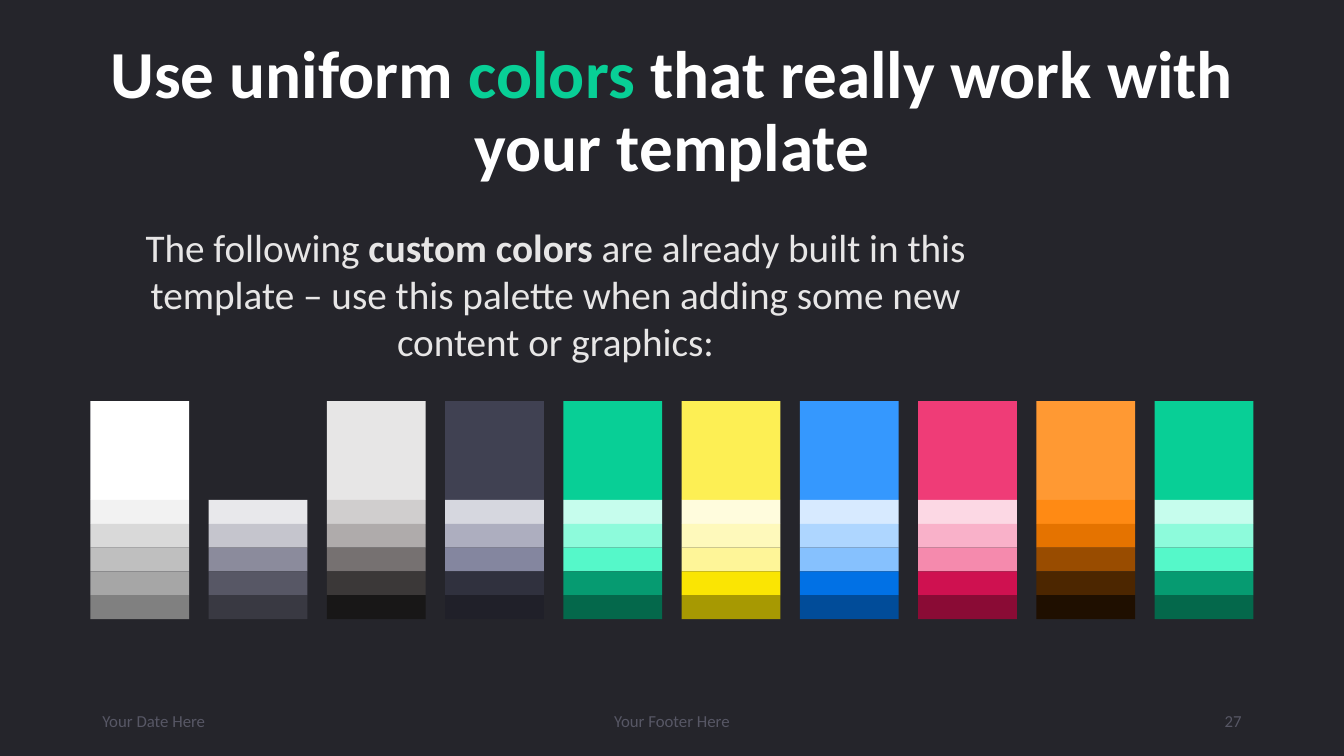
from pptx import Presentation
from pptx import util as u
from pptx.dml.color import RGBColor
from pptx.enum import shapes, text

Cm, Pt = u.Cm, u.Pt
Al = text.PP_ALIGN
Mid = text.MSO_ANCHOR.MIDDLE


def paint(part, hue):
    part.rgb = RGBColor.from_string(hue)


def write(box, runs, size, hue, side, bold=None):
    frame = box.text_frame
    frame.word_wrap = True
    para = frame.paragraphs[0]
    para.alignment = side
    para.font.name = "Calibri"
    para.font.size = Pt(size)
    para.font.bold = bold
    paint(para.font.color, hue)
    for words in runs:
        para.add_run().text = words
    return para


deck = Presentation()
deck.slide_width = Cm(33.87)
deck.slide_height = Cm(19.05)
slide = deck.slides.add_slide(deck.slide_layouts[5])
slide.background.fill.solid()
paint(slide.background.fill.fore_color, "25252B")

title = slide.shapes.title
title.left, title.top = Cm(2.33), Cm(1.02)
title.width, title.height = Cm(29.21), Cm(3.68)
head = write(title, ["Use uniform ", "colors", " that really work with your template"],
             48, "FFFFFF", Al.CENTER, True)
head.line_spacing = 0.9
paint(head.runs[1].font.color, "08CF96")
title.text_frame.vertical_anchor = Mid
title.text_frame.auto_size = text.MSO_AUTO_SIZE.NONE

intro = slide.shapes.add_textbox(Cm(2.33), Cm(5.51), Cm(23.34), Cm(3.84))
lead = write(intro, ["The following ", "custom colors ",
                     "are already built in this template – use this palette "
                     "when adding some new content or graphics:"],
             28, "E7E6E6", Al.CENTER)
lead.runs[1].font.bold = True
intro.text_frame.auto_size = text.MSO_AUTO_SIZE.SHAPE_TO_FIT_TEXT

green = "08CF96 C6FDED 8DFBDB 55F8C9 069B71 04684B"
hues = [
    "FFFFFF F2F2F2 D9D9D9 BFBFBF A6A6A6 808080",
    "25252B E8E8EB C5C5CD 8B8B9C 575765 393942",
    "E7E6E6 D0CECE AFABAB 767171 3B3838 181717",
    "404152 D6D7DF ADAEBF 84869F 30313E 202029",
    green,
    "FDEF54 FFFCDD FEF9BB FEF598 FAE503 A79902",
    "3598FE D7EAFF AED6FF 86C1FE 0171E5 014C99",
    "EF3C77 FCD8E4 F9B1C9 F58AAD CF1150 8A0B35",
    "FF9933 FF8A14 E57300 994C00 4C2600 1F0F00",
    green,
]
side, tint, pitch = 2.49, 0.6, 2.98
chart = slide.shapes.add_group_shape()
for col, line in enumerate(hues):
    top = 10.11
    for row, hue in enumerate(line.split()):
        tall = tint if row else side
        tile = chart.shapes.add_shape(shapes.MSO_SHAPE.RECTANGLE, Cm(2.28 + col * pitch),
                                      Cm(top), Cm(side), Cm(tall))
        tile.shadow.inherit = False
        tile.fill.solid()
        paint(tile.fill.fore_color, hue)
        tile.line.fill.background()
        top += tall

for left, width, words, align in [
    (2.33, 7.62, "Your Date Here", Al.LEFT),
    (11.22, 11.43, "Your Footer Here", Al.CENTER),
    (23.92, 7.62, "27", Al.RIGHT),
]:
    foot = slide.shapes.add_textbox(Cm(left), Cm(17.66), Cm(width), Cm(1.01))
    write(foot, [words], 12, "575765", align)
    foot.text_frame.vertical_anchor = Mid

deck.save("out.pptx")
